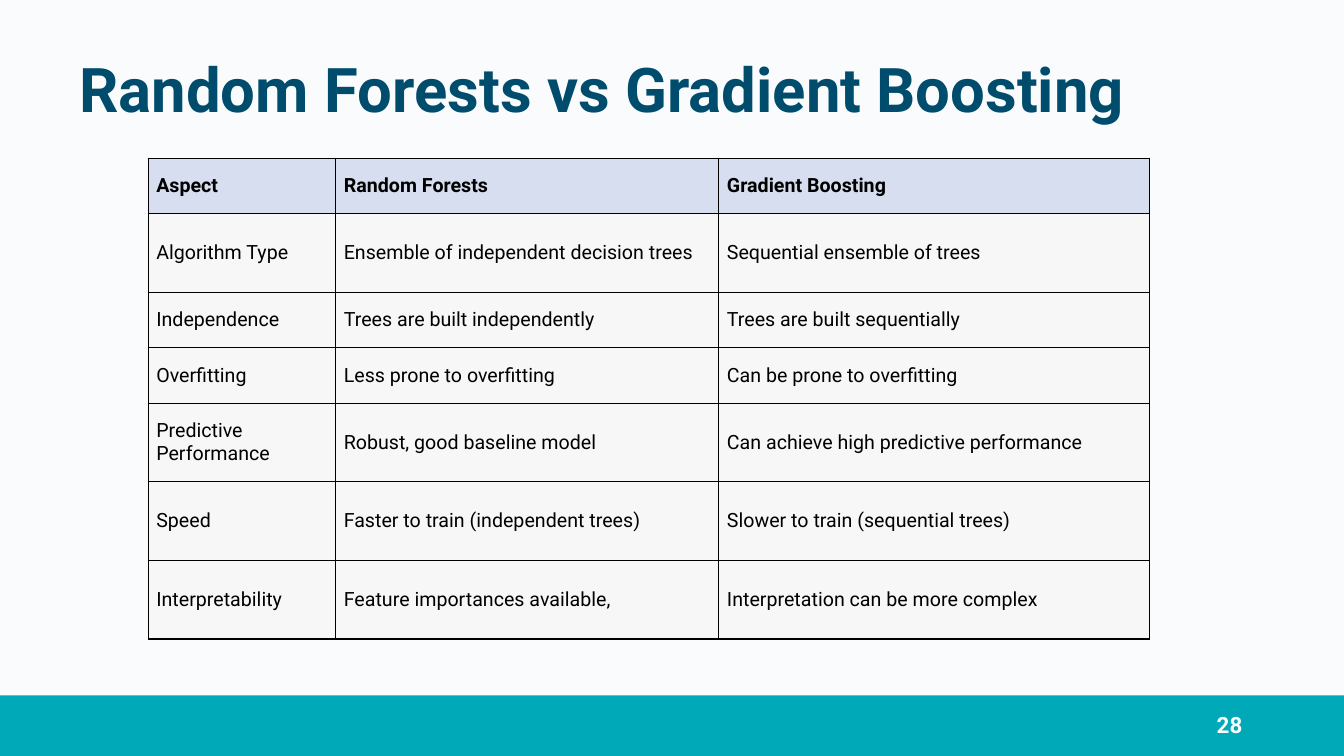
from lxml import etree
from pptx import Presentation
from pptx.dml.color import RGBColor
from pptx.enum.shapes import MSO_SHAPE
from pptx.enum.text import MSO_ANCHOR, PP_ALIGN
from pptx.oxml.ns import qn
from pptx.util import Inches, Pt

TITLE = "Random Forests vs Gradient Boosting"
PAGE = "28"
ROWS = [
    ("Aspect", "Random Forests", "Gradient Boosting"),
    ("Algorithm Type", "Ensemble of independent decision trees", "Sequential ensemble of trees"),
    ("Independence", "Trees are built independently", "Trees are built sequentially"),
    ("Overfitting", "Less prone to overfitting", "Can be prone to overfitting"),
    ("Predictive Performance", "Robust, good baseline model", "Can achieve high predictive performance"),
    ("Speed", "Faster to train (independent trees)", "Slower to train (sequential trees)"),
    ("Interpretability", "Feature importances available,", "Interpretation can be more complex"),
]
COL_WIDTHS = (1.86, 3.8, 4.27)
SHORT, TALL = 0.55, 0.78
ROW_HEIGHTS = (SHORT, TALL, SHORT, SHORT, TALL, TALL, TALL)

FONT = "Roboto"
BACKGROUND = RGBColor(0xFA, 0xFB, 0xFC)
TEAL = RGBColor(0x00, 0xA9, 0xB7)
NAVY = RGBColor(0x00, 0x4C, 0x6C)
WHITE = RGBColor(0xFA, 0xFB, 0xFD)
BLACK = RGBColor(0x00, 0x00, 0x00)
HEADER_FILL = RGBColor(0xD6, 0xDE, 0xEF)
BODY_FILL = RGBColor(0xF7, 0xF7, 0xF8)
MIDDLE = MSO_ANCHOR.MIDDLE
LEFT, RIGHT = PP_ALIGN.LEFT, PP_ALIGN.RIGHT
RECTANGLE = MSO_SHAPE.RECTANGLE


def write(tf, text, size=14, color=BLACK, bold=False, align=LEFT, spacing=None):
    tf.word_wrap = True
    tf.vertical_anchor = MIDDLE
    p = tf.paragraphs[0]
    p.alignment = align
    p.line_spacing = spacing
    r = p.add_run()
    r.text = text
    r.font.name = FONT
    r.font.size = Pt(size)
    r.font.bold = bold
    r.font.color.rgb = color


def add_borders(cell):
    tc_pr = cell._tc.get_or_add_tcPr()
    for i, side in enumerate(("lnL", "lnR", "lnT", "lnB")):
        ln = etree.Element(qn(f"a:{side}"), w=str(Pt(1)))
        fill = etree.SubElement(ln, qn("a:solidFill"))
        etree.SubElement(fill, qn("a:srgbClr"), val=str(BLACK))
        tc_pr.insert(i, ln)


prs = Presentation()
prs.slide_width, prs.slide_height = Inches(13.33), Inches(7.5)
s = prs.slides.add_slide(prs.slide_layouts[6])
s.background.fill.solid()
s.background.fill.fore_color.rgb = BACKGROUND

footer = s.shapes.add_shape(RECTANGLE, 0, Inches(6.9), prs.slide_width, Inches(0.6))
footer.shadow.inherit = False
footer.fill.solid()
footer.fill.fore_color.rgb = TEAL
footer.line.fill.background()

title = s.shapes.add_textbox(Inches(0.69), Inches(0.19), Inches(11.5), Inches(1.45))
write(title.text_frame, TITLE, size=44, color=NAVY, bold=True, spacing=0.9)

page = s.shapes.add_textbox(Inches(9.42), Inches(6.99), Inches(3), Inches(0.4))
write(page.text_frame, PAGE, size=16, color=WHITE, bold=True, align=RIGHT)

table = s.shapes.add_table(
    len(ROWS), len(COL_WIDTHS), Inches(1.47), Inches(1.57),
    Inches(sum(COL_WIDTHS)), Inches(sum(ROW_HEIGHTS))).table
for column, width in zip(table.columns, COL_WIDTHS):
    column.width = Inches(width)
for i, (texts, height) in enumerate(zip(ROWS, ROW_HEIGHTS)):
    table.rows[i].height = Inches(height)
    for j, text in enumerate(texts):
        cell = table.cell(i, j)
        cell.margin_left = cell.margin_right = Inches(0.08)
        cell.margin_top = cell.margin_bottom = Inches(0.04)
        cell.vertical_anchor = MIDDLE
        cell.fill.solid()
        cell.fill.fore_color.rgb = BODY_FILL if i else HEADER_FILL
        add_borders(cell)
        write(cell.text_frame, text, bold=i == 0)

prs.save("out.pptx")
